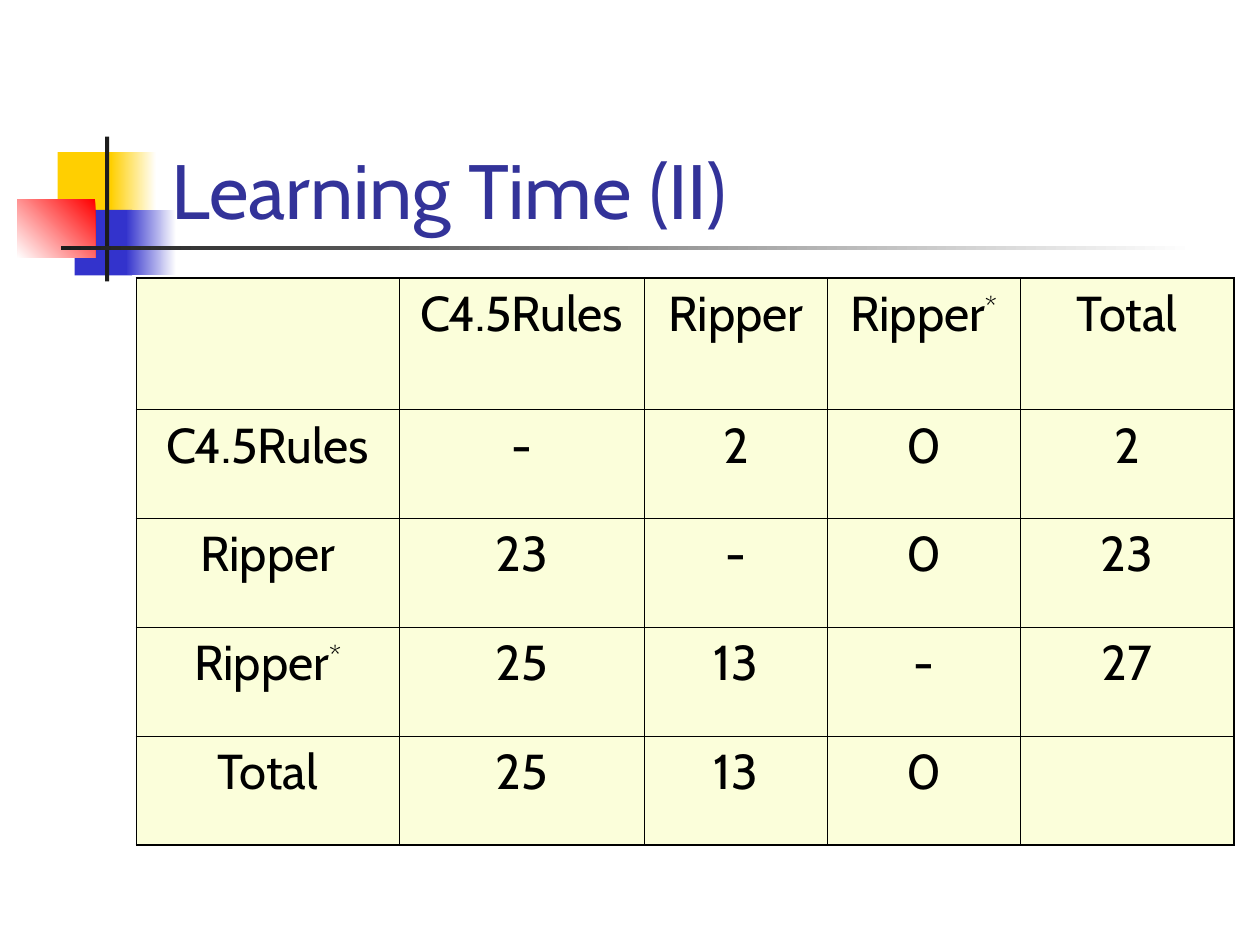
from lxml.etree import SubElement
from pptx import Presentation
from pptx.dml.color import RGBColor
from pptx.enum.shapes import MSO_SHAPE
from pptx.enum.text import MSO_ANCHOR, MSO_AUTO_SIZE, PP_ALIGN
from pptx.oxml.ns import qn
from pptx.util import Pt

FONT = "Cabin"
INK = "000000"
HEADS = ["C4.5Rules", "Ripper", "Ripper*", "Total"]
COUNTS = [
    ["-", "2", "0", "2"],
    ["23", "-", "0", "23"],
    ["25", "13", "-", "27"],
    ["25", "13", "0", ""],
]
COLS = [150, 140.4, 104.4, 110, 122.4]
ROWS = [75] + [62.25] * 4


def color(code):
    return RGBColor.from_string(code)


def style(para, size, code):
    para.font.name = FONT
    para.font.size = Pt(size)
    para.font.color.rgb = color(code)


def add_block(slide, box, first, last=None, angle=0):
    shape = slide.shapes.add_shape(MSO_SHAPE.RECTANGLE, *map(Pt, box))
    shape.shadow.inherit = False
    shape.line.fill.background()
    if last is None:
        shape.fill.solid()
        shape.fill.fore_color.rgb = color(first)
        return
    shape.fill.gradient()
    shape.fill.gradient_angle = angle
    for stop, code in zip(shape.fill.gradient_stops, (first, last)):
        stop.color.rgb = color(code)


def add_motif(slide, left, top):
    parts = [
        (23, 9, 34.6, 37.4, "FFCF01"),
        (53.3, 9, 26, 37.4, "FFFFFF", "FFCF01", 180),
        (32.6, 42, 33, 37.4, "3333CC"),
        (62, 42, 28.8, 37.4, "FFFFFF", "3333CC", 180),
        (0, 36, 44.4, 33.4, "FF0000", "FFFFFF", 225),
        (50, 0, 2.4, 82.8, "1C1C1C"),
        (25, 62.4, 648, 2.4, "FFFFFF", "1C1C1C", 180),
    ]
    for x, y, width, height, *paint in parts:
        add_block(slide, (left + x, top + y, width, height), *paint)


def set_title(slide, box, text):
    title = slide.shapes.title
    title.left, title.top, title.width, title.height = map(Pt, box)
    slide.shapes._spTree.append(title._element)
    frame = title.text_frame
    frame.text = text
    frame.auto_size = MSO_AUTO_SIZE.NONE
    frame.vertical_anchor = MSO_ANCHOR.BOTTOM
    para = frame.paragraphs[0]
    para.alignment = PP_ALIGN.LEFT
    style(para, 44, "333399")


def set_border(cell, side, width):
    line = SubElement(cell._tc.get_or_add_tcPr(), qn(f"a:ln{side}"), w=str(Pt(width)))
    fill = SubElement(line, qn("a:solidFill"))
    SubElement(fill, qn("a:srgbClr"), val=INK)


def fill_cell(cell, text, edges):
    for side, outer in edges.items():
        set_border(cell, side, 1.08 if outer else 0.45)
    cell.fill.solid()
    cell.fill.fore_color.rgb = color("FBFEDA")
    para = cell.text_frame.paragraphs[0]
    para.alignment = PP_ALIGN.CENTER
    style(para, 28, INK)
    word, star, _ = text.partition("*")
    if word:
        para.add_run().text = word
    if star:
        run = para.add_run()
        run.text = star
        run._r.get_or_add_rPr().set("baseline", "30000")


def add_grid(slide, left, top):
    box = map(Pt, (left, top, sum(COLS), sum(ROWS)))
    table = slide.shapes.add_table(len(ROWS), len(COLS), *box).table
    for col, width in zip(table.columns, COLS):
        col.width = Pt(width)
    for row, height in zip(table.rows, ROWS):
        row.height = Pt(height)
    lines = [[""] + HEADS] + [[head] + nums for head, nums in zip(HEADS, COUNTS)]
    for r, line in enumerate(lines):
        for c, text in enumerate(line):
            edges = {
                "L": c == 0,
                "R": c == len(COLS) - 1,
                "T": r == 0,
                "B": r == len(ROWS) - 1,
            }
            fill_cell(table.cell(r, c), text, edges)


def main():
    deck = Presentation()
    deck.slide_width, deck.slide_height = Pt(720), Pt(540)
    slide = deck.slides.add_slide(deck.slide_layouts[5])
    add_motif(slide, 10, 78)
    set_title(slide, (90.7, 48, 613.4, 90), "Learning Time (II)")
    add_grid(slide, 78, 159)
    deck.save("out.pptx")


if __name__ == "__main__":
    main()
